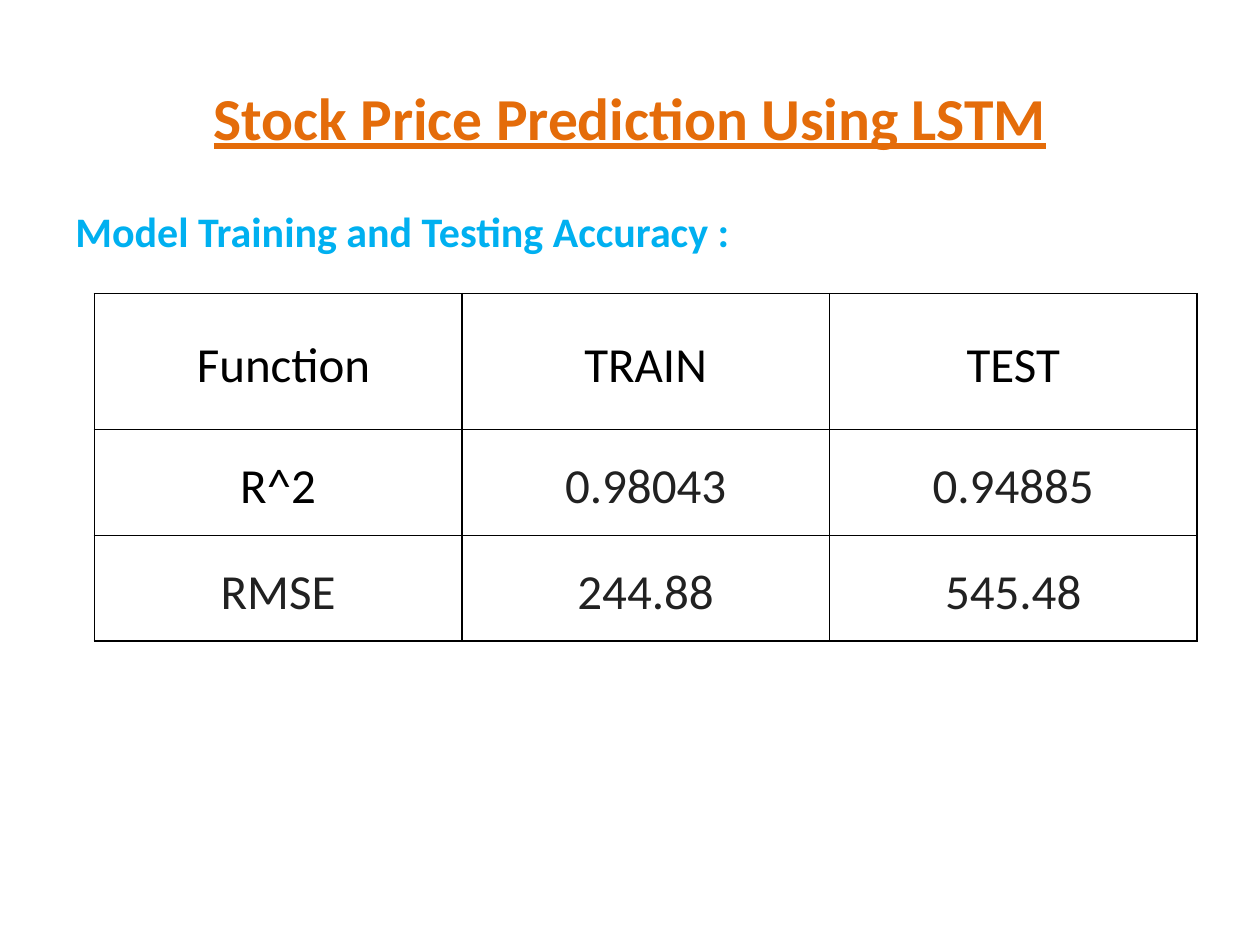
"""Build the stock price prediction accuracy slide."""
from lxml import etree
from pptx import Presentation
from pptx.dml.color import RGBColor
from pptx.enum.text import MSO_ANCHOR, MSO_AUTO_SIZE, PP_ALIGN
from pptx.oxml.ns import qn
from pptx.util import Cm, Pt

MIDDLE, TOP = MSO_ANCHOR.MIDDLE, MSO_ANCHOR.TOP
CENTER, JUSTIFY = PP_ALIGN.CENTER, PP_ALIGN.JUSTIFY
NO_AUTOFIT = MSO_AUTO_SIZE.NONE
TITLE_ONLY = 5

FONT = "Calibri"
ORANGE, BLUE, BLACK, DARK = "E46C0A", "00B0F0", "000000", "212121"
ROWS = [
    [(" Function", BLACK), ("TRAIN", BLACK), ("TEST", BLACK)],
    [("R^2", BLACK), ("0.98043", DARK), ("0.94885", DARK)],
    [("RMSE", DARK), ("244.88", DARK), ("545.48", DARK)],
]
ROW_HEIGHTS = [2.74, 2.13, 2.13]
COLUMN_WIDTH = 7.41


def color(value):
    """Return the colour for a hex string."""
    return RGBColor.from_string(value)


def add_run(paragraph, text, size, fill, bold=False, underline=False):
    """Append a formatted run to a paragraph."""
    run = paragraph.add_run()
    run.text = text
    font = run.font
    font.name, font.size = FONT, Pt(size)
    font.bold, font.underline = bold, underline
    font.color.rgb = color(fill)


def place_text(shape, left, top, width, height, anchor, alignment):
    """Position a text shape and return its first paragraph."""
    shape.left, shape.top = Cm(left), Cm(top)
    shape.width, shape.height = Cm(width), Cm(height)
    frame = shape.text_frame
    frame.word_wrap = True
    frame.auto_size = NO_AUTOFIT
    frame.vertical_anchor = anchor
    paragraph = frame.paragraphs[0]
    paragraph.alignment = alignment
    return paragraph


def add_title(slide):
    """Format and fill the title placeholder."""
    paragraph = place_text(slide.shapes.title, 1.27, 0.76, 22.86, 3.18, MIDDLE, CENTER)
    add_run(paragraph, "Stock Price Prediction Using LSTM", 34, ORANGE, True, True)


def add_subtitle(slide):
    """Add the heading above the table."""
    box = slide.shapes.add_textbox(0, 0, 0, 0)
    paragraph = place_text(box, 1.27, 4.01, 22.86, 1.5, TOP, JUSTIFY)
    add_run(paragraph, "Model Training and Testing Accuracy :", 24, BLUE, True)


def add_borders(cell):
    """Draw a thin black line on each side of a cell."""
    properties = cell._tc.get_or_add_tcPr()
    for index, side in enumerate(("a:lnL", "a:lnR", "a:lnT", "a:lnB")):
        line = etree.Element(qn(side), w=str(Pt(1)))
        fill = etree.SubElement(line, qn("a:solidFill"))
        etree.SubElement(fill, qn("a:srgbClr"), val=BLACK)
        properties.insert(index, line)


def fill_cell(cell, text, fill):
    """Write and format one table cell."""
    cell.fill.background()
    add_borders(cell)
    cell.vertical_anchor = MIDDLE
    cell.margin_left = cell.margin_right = Cm(0.18)
    cell.margin_top = cell.margin_bottom = 0
    paragraph = cell.text_frame.paragraphs[0]
    paragraph.alignment = CENTER
    paragraph.line_spacing = 1.15
    paragraph.space_after = Pt(10)
    add_run(paragraph, text, 28, fill)


def add_accuracy_table(slide):
    """Add the table of training and testing scores."""
    column_count = len(ROWS[0])
    table = slide.shapes.add_table(
        len(ROWS), column_count, Cm(1.9), Cm(5.92),
        Cm(COLUMN_WIDTH * column_count), Cm(sum(ROW_HEIGHTS)),
    ).table
    table.first_row = table.horz_banding = False
    for column in table.columns:
        column.width = Cm(COLUMN_WIDTH)
    for row, height, entries in zip(table.rows, ROW_HEIGHTS, ROWS):
        row.height = Cm(height)
        for cell, (text, fill) in zip(row.cells, entries):
            fill_cell(cell, text, fill)


def main():
    """Build and save the presentation."""
    presentation = Presentation()
    presentation.slide_width, presentation.slide_height = Cm(25.4), Cm(19.05)
    slide = presentation.slides.add_slide(presentation.slide_layouts[TITLE_ONLY])
    add_title(slide)
    add_subtitle(slide)
    add_accuracy_table(slide)
    presentation.save("out.pptx")


if __name__ == "__main__":
    main()
